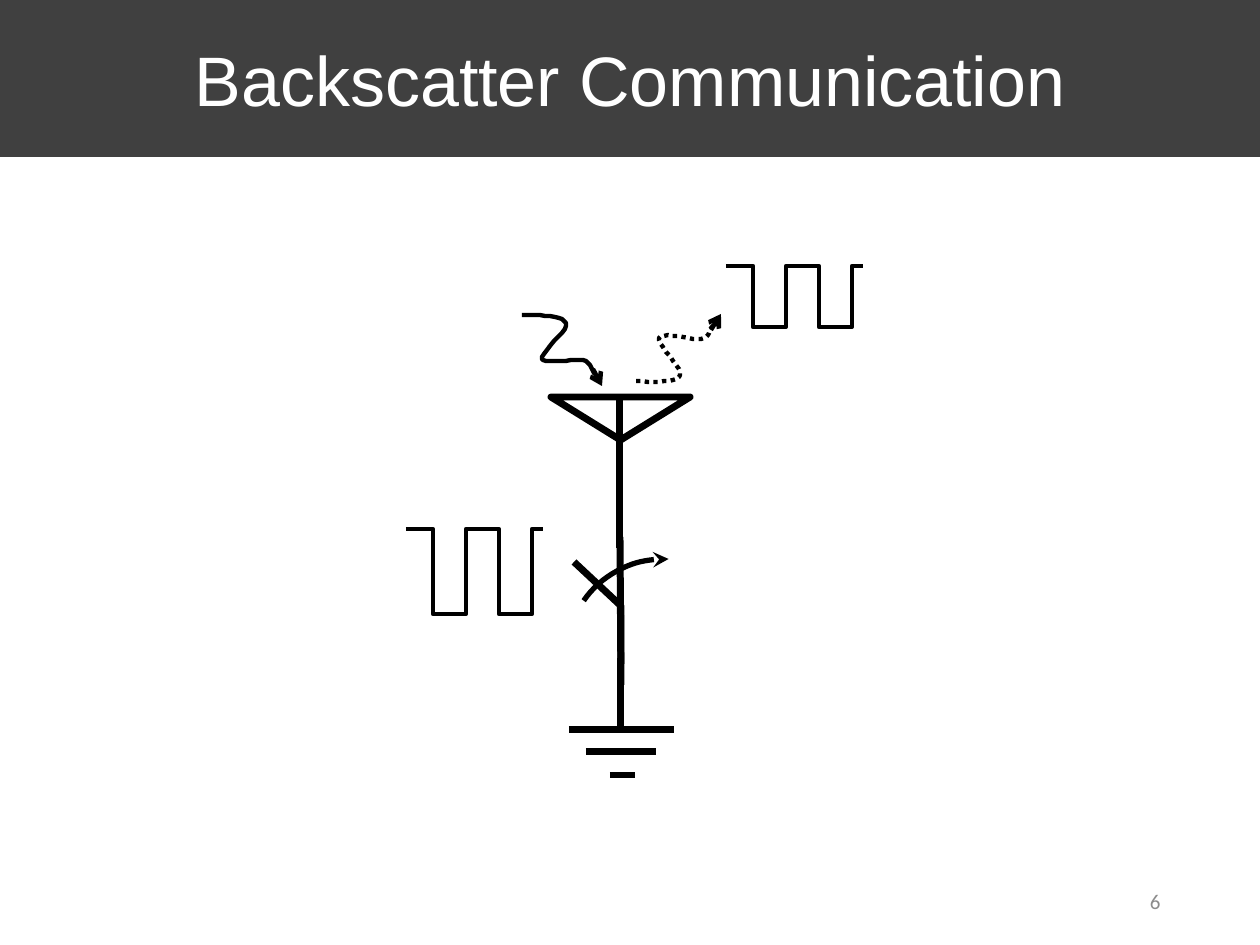
from lxml import etree
from pptx import Presentation
from pptx import util as u
from pptx.dml.color import RGBColor
from pptx.enum import dml, shapes, text
from pptx.oxml.ns import qn

PX = 914400 / 126
BLACK = RGBColor(0x00, 0x00, 0x00)
WHITE = RGBColor(0xFF, 0xFF, 0xFF)
CHARCOAL = RGBColor(0x40, 0x40, 0x40)
GRAY = RGBColor(0x8C, 0x8C, 0x8C)


def write(sp, content, font, size, color, align):
    tf = sp.text_frame
    tf.word_wrap = True
    tf.vertical_anchor = text.MSO_ANCHOR.MIDDLE
    p = tf.paragraphs[0]
    p.alignment = align
    r = p.add_run()
    r.text = content
    r.font.name = font
    r.font.size = u.Pt(size)
    r.font.color.rgb = color


def stroke(sp, width, dash=None, arrow=None):
    sp.line.color.rgb = BLACK
    sp.line.width = u.Pt(width)
    if dash:
        sp.line.dash_style = dash
    spPr = sp._element.spPr
    if arrow:
        etree.SubElement(spPr.find(qn("a:ln")), qn("a:tailEnd"), type=arrow)
    etree.SubElement(spPr, qn("a:effectLst"))


prs = Presentation()
prs.slide_width, prs.slide_height = (int(v * PX) for v in (1260, 945))
s = prs.slides.add_slide(prs.slide_layouts[5])

title = s.shapes.title
title.left, title.top, title.width, title.height = (int(v * PX) for v in (0, 0, 1260, 157))
title.fill.solid()
title.fill.fore_color.rgb = CHARCOAL
write(title, "Backscatter Communication", font="Arial", size=40, color=WHITE,
      align=text.PP_ALIGN.CENTER)

box = [int(v * PX) for v in (551, 397, 139, 43)]
antenna = s.shapes.add_shape(shapes.MSO_SHAPE.ISOSCELES_TRIANGLE, *box)
antenna.rotation = 180
antenna.fill.background()
stroke(antenna, 4)

mast_and_ground = [
    (620, 397, 620, 524),
    (620, 537, 621, 685),
    (620, 496, 620, 548),
    (621, 730, 621, 658),
    (569, 730, 674, 730),
    (586, 752, 656, 752),
    (610, 775, 635, 775),
]
for ends in mast_and_ground:
    sp = s.shapes.add_connector(shapes.MSO_CONNECTOR.STRAIGHT, *[int(v * PX) for v in ends])
    stroke(sp, 4)

DOT = dml.MSO_LINE.ROUND_DOT
incoming = [(522, 315), (542, 315), (562, 315), (566, 323), (570, 330), (539, 353), (542, 359),
            (544, 365), (575, 358), (583, 360), (593, 363), (593, 377), (597, 374)]
reflected = [(636, 381), (656, 382), (677, 383), (680, 375), (684, 368), (655, 344), (659, 338),
             (662, 331), (692, 340), (701, 339), (711, 337), (711, 323), (716, 325)]
curves = [
    (incoming, None, (593, 369, 602, 386)),
    (reflected, DOT, (711, 330, 721, 314)),
]
paths = [([(621, 664), (621, 606), (574, 562)], 4, None)]
for knots, dash, head in curves:
    points = [knots[0]]
    for i in range(0, len(knots) - 1, 3):
        for step in range(1, 11):
            t = step / 10
            weights = ((1 - t) ** 3, 3 * t * (1 - t) ** 2, 3 * t * t * (1 - t), t ** 3)
            points.append(tuple(sum(w * k[axis] for w, k in zip(weights, knots[i:i + 4]))
                                for axis in (0, 1)))
    paths.append((points, 2.5, dash))
    sp = s.shapes.add_connector(shapes.MSO_CONNECTOR.STRAIGHT, *[int(v * PX) for v in head])
    stroke(sp, 2.5, dash=dash, arrow="arrow")

for left, high, low in ((406, 529, 614), (726, 266, 327)):
    points = [(left, high)]
    level = high
    for edge in (27, 60, 93, 126):
        points.append((left + edge, level))
        level = low if level == high else high
        points.append((left + edge, level))
    points.append((left + 137, high))
    paths.append((points, 2.5, None))

for points, width, dash in paths:
    builder = s.shapes.build_freeform(*points[0], scale=PX)
    builder.add_line_segments(points[1:], close=False)
    sp = builder.convert_to_shape()
    sp.fill.background()
    stroke(sp, width, dash=dash)

box = [int(v * PX) for v in (569, 559, 193, 178)]
arc = s.shapes.add_shape(shapes.MSO_SHAPE.ARC, *box)
for i, degrees in enumerate((210, 272)):
    arc.adjustments[i] = degrees * 0.6
arc.fill.background()
stroke(arc, 3, arrow="stealth")

box = [int(v * PX) for v in (890, 876, 283, 50)]
number = s.shapes.add_textbox(*box)
write(number, "6", font="Calibri", size=12, color=GRAY, align=text.PP_ALIGN.RIGHT)

prs.save("out.pptx")
